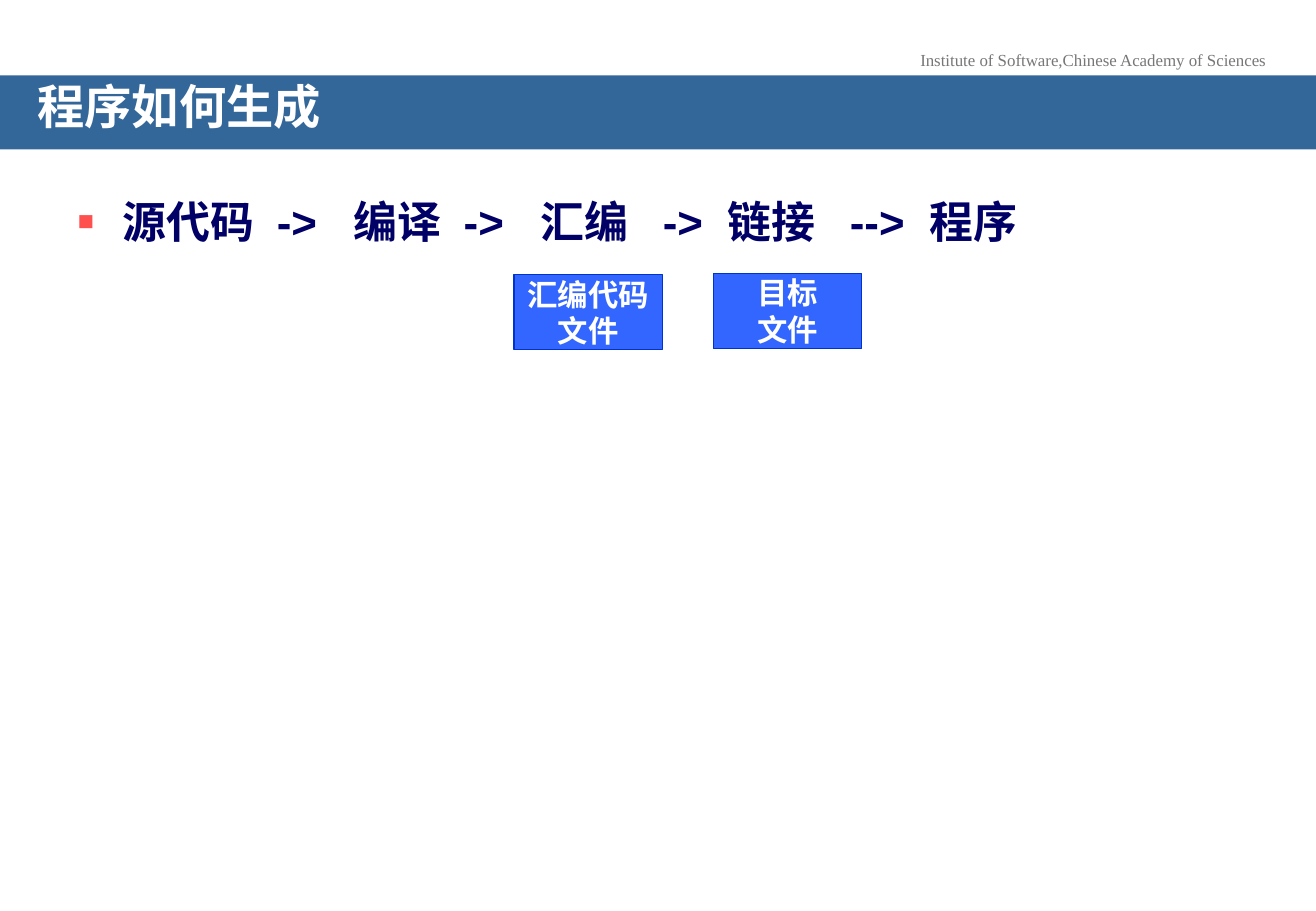
from lxml import etree
from pptx import Presentation, util as u
from pptx.dml.color import RGBColor
from pptx.enum import shapes, text
from pptx.oxml.ns import qn

INSTITUTE = "Institute of Software,Chinese Academy of Sciences"
TITLE = "程序如何生成"
# Each step with the width of the gap after it, in spaces
STEPS = [("源代码", 2), ("->", 3), ("编译", 2), ("->", 3), ("汇编", 3),
         ("->", 2), ("链接", 3), ("-->", 2), ("程序", 0)]
# Lines of each file box with its left and top, in inches
FILES = [(["汇编代码", "文件"], 4.23, 2.26),
         (["目标", "文件"], 5.87, 2.25)]

COLORS = {"institute": "777777", "band": "336699", "white": "FFFFFF",
          "bullet": "FF5050", "steps": "000066",
          "box": "3366FF", "edge": "0033CC"}
FONTS = {
    "institute": {"name": "Times New Roman", "size": u.Pt(10), "bold": False},
    "title": {"name": "Arial Narrow", "size": u.Pt(28), "bold": True},
    "steps": {"name": "Arial", "size": u.Pt(26), "bold": True},
    "box": {"name": "Arial", "size": u.Pt(18), "bold": True},
}
WIDTH, HEIGHT = 10.83, 7.5
BOX_WIDTH, BOX_HEIGHT = 1.22, 0.62
HANGING = u.Inches(0.38)
SPACE_WIDTH = 0.278 * 26  # points, one Arial space at 26 pt


def color(name):
    return RGBColor.from_string(COLORS[name])


def apply(target, values):
    for key, value in values.items():
        setattr(target, key, value)


def style(font, kind, ink):
    apply(font, FONTS[kind])
    font.color.rgb = color(ink)


def place(shape, *box):
    apply(shape, dict(zip(("left", "top", "width", "height"), map(u.Inches, box))))


def add_bullet(paragraph):
    props = paragraph._p.get_or_add_pPr()
    props.set("marL", str(HANGING))
    props.set("indent", str(-HANGING))
    tint = etree.SubElement(props, qn("a:buClr"))
    etree.SubElement(tint, qn("a:srgbClr"), val=COLORS["bullet"])
    etree.SubElement(props, qn("a:buSzPct"), val="120000")
    etree.SubElement(props, qn("a:buFont"), typeface="Arial")
    etree.SubElement(props, qn("a:buChar"), char="▪")


def add_run(paragraph, words):
    run = paragraph.add_run()
    run.text = words
    style(run.font, "steps", "steps")
    return run


def main():
    deck = Presentation()
    deck.slide_width, deck.slide_height = u.Inches(WIDTH), u.Inches(HEIGHT)
    slide = deck.slides.add_slide(deck.slide_layouts[1])

    institute = slide.shapes.add_textbox(*map(u.Inches, (7.46, 0.36, 3.07, 0.27)))
    institute.text_frame.word_wrap = False
    line = institute.text_frame.paragraphs[0]
    line.text = INSTITUTE
    line.alignment = text.PP_ALIGN.CENTER
    style(line.runs[0].font, "institute", "institute")

    title = slide.shapes.title
    place(title, 0, 0.62, WIDTH, 0.61)
    title.fill.solid()
    title.fill.fore_color.rgb = color("band")
    title.text_frame.text = TITLE
    apply(title.text_frame, {"margin_left": u.Inches(0.31), "margin_right": u.Inches(0.31),
                             "vertical_anchor": text.MSO_ANCHOR.MIDDLE,
                             "auto_size": text.MSO_AUTO_SIZE.NONE})
    heading = title.text_frame.paragraphs[0]
    apply(heading, {"alignment": text.PP_ALIGN.LEFT, "line_spacing": 0.7})
    style(heading.runs[0].font, "title", "white")

    body = slide.placeholders[1]
    place(body, 0.53, 1.55, 9.76, 5.04)
    body.text_frame.auto_size = text.MSO_AUTO_SIZE.NONE
    flow = body.text_frame.paragraphs[0]
    add_bullet(flow)
    flow.space_before = u.Pt(0)
    for step, gap in STEPS:
        add_run(flow, step)
        if gap:
            spacing = round((gap - 1) * SPACE_WIDTH * 100)
            add_run(flow, " ").font._element.set("spc", str(spacing))

    for lines, left, top in FILES:
        box = slide.shapes.add_shape(
            shapes.MSO_SHAPE.RECTANGLE,
            *map(u.Inches, (left, top, BOX_WIDTH, BOX_HEIGHT)))
        box.shadow.inherit = False
        box.fill.solid()
        box.fill.fore_color.rgb = color("box")
        box.line.color.rgb = color("edge")
        box.line.width = u.Pt(0.75)
        frame = box.text_frame
        apply(frame, {"word_wrap": False, "vertical_anchor": text.MSO_ANCHOR.MIDDLE})
        frame.text = "\n".join(lines)
        for label in frame.paragraphs:
            label.alignment = text.PP_ALIGN.CENTER
            style(label.runs[0].font, "box", "white")

    deck.save("out.pptx")


if __name__ == "__main__":
    main()
